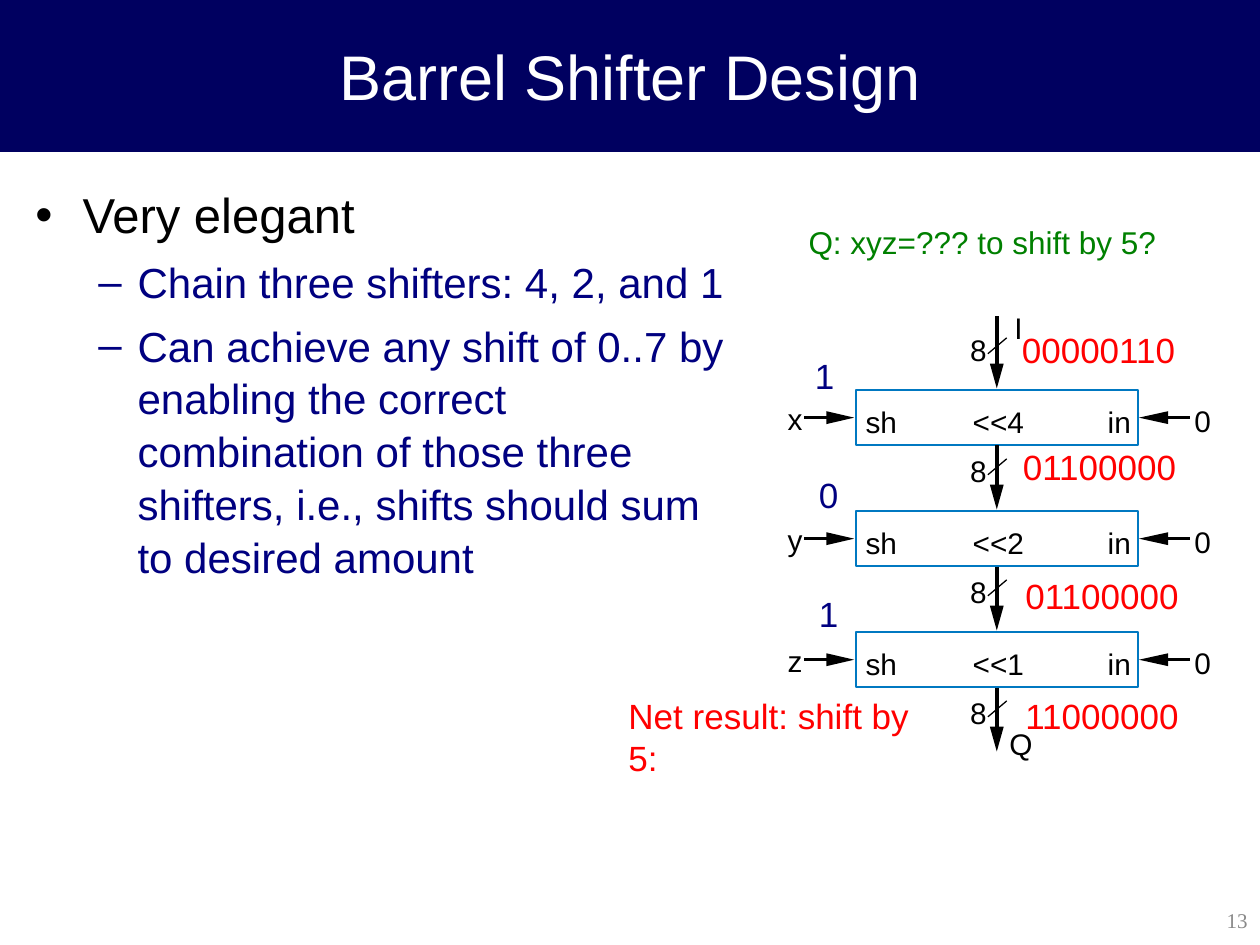
from dataclasses import dataclass

from lxml import etree
from pptx import Presentation
from pptx import util as u
from pptx.dml import color
from pptx.enum import shapes, text
from pptx.oxml import ns

NAVY = color.RGBColor(0x00, 0x00, 0x60)
INDIGO = color.RGBColor(0x00, 0x00, 0x80)
BLUE = color.RGBColor(0x00, 0x78, 0xC1)
GREEN = color.RGBColor(0x00, 0x80, 0x00)
RED = color.RGBColor(0xFF, 0x00, 0x00)
GRAY = color.RGBColor(0x89, 0x89, 0x89)
BLACK = color.RGBColor(0x00, 0x00, 0x00)
WHITE = color.RGBColor(0xFF, 0xFF, 0xFF)

BOX_LEFT, BOX_TOP, BOX_WIDTH, BOX_HEIGHT = 17.25, 7.86, 5.69, 1.12
PITCH = 2.44
BUS_X = BOX_LEFT + BOX_WIDTH / 2
INPUT_TOP = 6.38


@dataclass
class Stage:
    control: str
    operation: str


@dataclass
class Label:
    words: str
    left: float
    top: float
    width: float
    height: float = 0.71
    size: int = 17
    ink: color.RGBColor = BLACK
    inset: tuple = (0, 0)
    wrap: bool = False
    font: str = "Arial"


@dataclass
class Bullet:
    words: str
    level: int
    mark: str
    size: int
    ink: color.RGBColor
    margin: float
    hang: float
    before: int


STAGES = [Stage("x", "<<4"), Stage("y", "<<2"), Stage("z", "<<1")]
PADDED = (0.25, 0.13)


def note(words: str, left: float, top: float, width: float, ink: color.RGBColor) -> Label:
    return Label(words, left, top, width, 1.12, 20, ink, PADDED)


NOTES = [
    Label("Q: xyz=??? to shift by 5?", 16.05, 4.37, 7.72, 1.02, 18, GREEN, PADDED, True),
    note("1", 16.18, 7.01, 0.89, INDIGO),
    note("0", 16.26, 9.42, 0.89, INDIGO),
    note("1", 16.26, 11.81, 0.89, INDIGO),
    note("00000110", 20.35, 6.5, 3.66, RED),
    note("01100000", 20.37, 8.86, 3.66, RED),
    note("01100000", 20.42, 11.46, 3.66, RED),
    note("11000000", 20.42, 13.87, 3.66, RED),
    note("Net result: shift by 5:", 12.42, 13.87, 6.93, RED),
]

BULLETS = [
    Bullet("Very elegant", 0, "•", 28, BLACK, 0.95, 0.95, 0),
    Bullet("Chain three shifters: 4, 2, and 1", 1, "–", 24, INDIGO, 2.06, 0.79, 6),
    Bullet("Can achieve any shift of 0..7 by enabling the correct combination of those "
           "three shifters, i.e., shifts should sum to desired amount",
           1, "–", 24, INDIGO, 2.06, 0.79, 6),
]


def place(shape, left: float, top: float, width: float, height: float) -> None:
    shape.left, shape.top = u.Cm(left), u.Cm(top)
    shape.width, shape.height = u.Cm(width), u.Cm(height)


def add_span(para, words: str, size: int, ink: color.RGBColor, font: str = "Arial") -> None:
    span = para.add_run()
    span.text = words
    span.font.size = u.Pt(size)
    span.font.name = font
    span.font.color.rgb = ink


def add_label(page, label: Label):
    box = page.shapes.add_textbox(
        u.Cm(label.left), u.Cm(label.top), u.Cm(label.width), u.Cm(label.height))
    frame = box.text_frame
    frame.word_wrap = label.wrap
    frame.auto_size = text.MSO_AUTO_SIZE.SHAPE_TO_FIT_TEXT
    frame.margin_left = frame.margin_right = u.Cm(label.inset[0])
    frame.margin_top = frame.margin_bottom = u.Cm(label.inset[1])
    add_span(frame.paragraphs[0], label.words, label.size, label.ink, label.font)
    return box


def add_rect(page, left: float, top: float, width: float, height: float,
             outline: color.RGBColor, weight: float):
    rect = page.shapes.add_shape(
        shapes.MSO_SHAPE.RECTANGLE, u.Cm(left), u.Cm(top), u.Cm(width), u.Cm(height))
    rect.shadow.inherit = False
    rect.fill.background()
    rect.line.color.rgb = outline
    rect.line.width = u.Pt(weight)
    return rect


def add_wire(page, start: tuple, end: tuple, weight: float):
    wire = page.shapes.add_connector(
        shapes.MSO_CONNECTOR.STRAIGHT, *(u.Cm(value) for value in start + end))
    wire.line.color.rgb = BLACK
    wire.line.width = u.Pt(weight)
    etree.SubElement(wire.element.spPr, ns.qn("a:effectLst"))
    return wire


def add_head(page, *corners: tuple) -> None:
    first, *rest = [(u.Cm(x), u.Cm(y)) for x, y in corners]
    builder = page.shapes.build_freeform(*first)
    builder.add_line_segments(rest, close=True)
    head = builder.convert_to_shape()
    head.shadow.inherit = False
    head.fill.solid()
    head.fill.fore_color.rgb = BLACK
    head.line.fill.background()


def add_signal(page, start: float, end: float, base: float, tip: float, y: float) -> None:
    add_wire(page, (start, y), (end, y), 1.5)
    add_head(page, (tip, y), (base, y - 0.13), (base, y + 0.13))


def add_bus(page, start: float, tip: float, source=None) -> None:
    wire = add_wire(page, (BUS_X, start), (BUS_X, tip - 0.3), 2.25)
    if source is not None:
        wire.begin_connect(source, 2)
    add_head(page, (BUS_X, tip), (BUS_X + 0.14, tip - 0.5), (BUS_X - 0.14, tip - 0.5))
    add_wire(page, (BUS_X + 0.2, tip - 1.02), (BUS_X - 0.18, tip - 0.7), 0.75)
    add_label(page, Label("8", 19.56, tip - 1.14, 0.33))


def add_stage(page, stage: Stage, top: float) -> None:
    box = add_rect(page, BOX_LEFT, top, BOX_WIDTH, BOX_HEIGHT, BLUE, 1.13)
    for words, left, drop, width in [
        (stage.control, 15.88, 0.21, 0.3), ("sh", 17.45, 0.27, 0.64),
        (stage.operation, 19.61, 0.27, 1.04), ("in", 22.33, 0.27, 0.48),
        ("0", 24.08, 0.25, 0.33),
    ]:
        add_label(page, Label(words, left, top + drop, width))
    middle = top + BOX_HEIGHT / 2
    add_signal(page, 16.21, 16.87, 16.66, 17.22, middle)
    add_signal(page, 23.98, 23.32, 23.55, 22.96, middle)
    add_bus(page, top + BOX_HEIGHT, top + PITCH - 0.03, box)


def add_bullet(para, bullet: Bullet) -> None:
    para.level = bullet.level
    props = para._p.get_or_add_pPr()
    props.set("marL", str(u.Cm(bullet.margin)))
    props.set("indent", str(-u.Cm(bullet.hang)))
    tint = etree.SubElement(props, ns.qn("a:buClr"))
    etree.SubElement(tint, ns.qn("a:srgbClr"), val=str(bullet.ink))
    etree.SubElement(props, ns.qn("a:buFont"), typeface="Arial")
    etree.SubElement(props, ns.qn("a:buChar"), char=bullet.mark)
    para.line_spacing = 1.05
    para.space_before = u.Pt(bullet.before)
    add_span(para, bullet.words, bullet.size, bullet.ink)


def main() -> None:
    deck = Presentation()
    deck.slide_width, deck.slide_height = u.Cm(25.4), u.Cm(19.05)
    page = deck.slides.add_slide(deck.slide_layouts[1])
    title, body = page.placeholders

    band = add_rect(page, 0, 0, 25.4, 3.05, NAVY, 0.75)
    band.fill.solid()
    band.fill.fore_color.rgb = NAVY
    title.element.addprevious(band.element)

    place(title, 0, 0, 25.4, 3.05)
    title.text_frame.auto_size = text.MSO_AUTO_SIZE.NONE
    title.text_frame.vertical_anchor = text.MSO_ANCHOR.MIDDLE
    heading = title.text_frame.paragraphs[0]
    heading.alignment = text.PP_ALIGN.CENTER
    add_span(heading, "Barrel Shifter Design", 36, WHITE)

    place(body, 0.46, 3.54, 14.73, 14.5)
    frame = body.text_frame
    frame.auto_size = text.MSO_AUTO_SIZE.NONE
    for index, bullet in enumerate(BULLETS):
        add_bullet(frame.add_paragraph() if index else frame.paragraphs[0], bullet)

    number = add_label(page, Label("13", 20.02, 18.03, 5.38, 1.02, 12, GRAY, PADDED, True,
                                   "Times New Roman"))
    number.text_frame.auto_size = text.MSO_AUTO_SIZE.NONE
    number.text_frame.vertical_anchor = text.MSO_ANCHOR.MIDDLE
    number.text_frame.paragraphs[0].alignment = text.PP_ALIGN.RIGHT

    add_bus(page, INPUT_TOP, BOX_TOP - 0.03)
    for index, stage in enumerate(STAGES):
        add_stage(page, stage, BOX_TOP + index * PITCH)
    add_label(page, Label("I", 20.45, 6.25, 0.18))
    add_label(page, Label("Q", 20.35, 14.63, 0.48))
    for label in NOTES:
        add_label(page, label)

    deck.save("out.pptx")


if __name__ == "__main__":
    main()
